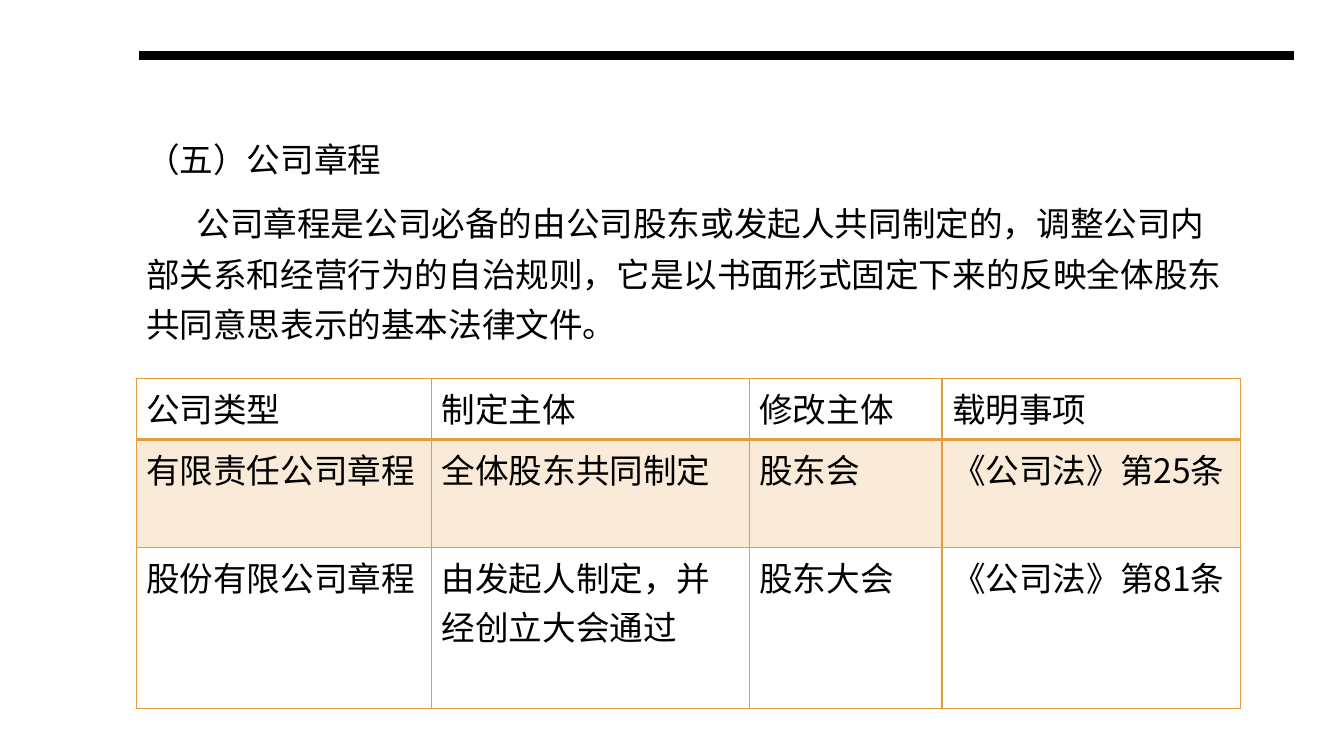
from lxml import etree
from pptx import Presentation
from pptx.dml.color import RGBColor
from pptx.enum.shapes import MSO_CONNECTOR
from pptx.enum.text import MSO_ANCHOR, MSO_AUTO_SIZE, PP_ALIGN
from pptx.oxml.ns import qn
from pptx.util import Cm, Pt

STRAIGHT = MSO_CONNECTOR.STRAIGHT
MIDDLE = MSO_ANCHOR.MIDDLE
SHRINK = MSO_AUTO_SIZE.TEXT_TO_FIT_SHAPE
LEFT = PP_ALIGN.LEFT

BLACK = RGBColor(0x00, 0x00, 0x00)
ORANGE = RGBColor(0xE2, 0x9D, 0x3E)
FONT = "Noto Sans CJK SC"
TEXT_SIZE = Pt(24)

MARGIN, CONTENT_WIDTH = Cm(3.43), Cm(27.84)
FIRST_LINE_INDENT = Cm(1.27)

SECTION = "（五）公司章程"
DEFINITION = (
    "公司章程是公司必备的由公司股东或发起人共同制定的，调整公司内部关系和经营行为的自治规则，"
    "它是以书面形式固定下来的反映全体股东共同意思表示的基本法律文件。"
)
CHARTERS = [
    ["公司类型", "制定主体", "修改主体", "载明事项"],
    ["有限责任公司章程", "全体股东共同制定", "股东会", "《公司法》第25条"],
    ["股份有限公司章程", "由发起人制定，并经创立大会通过", "股东大会", "《公司法》第81条"],
]
COLUMN_WIDTHS = [Cm(7.45), Cm(8), Cm(4.86), Cm(7.53)]
ROW_HEIGHTS = [Cm(1.55), Cm(2.36), Cm(4.06)]


class CharterSlide:
    def __init__(self, deck):
        self.slide = deck.slides.add_slide(deck.slide_layouts[1])
        title = self.slide.shapes.title
        title.element.getparent().remove(title.element)

    def add_text(self, paragraph, text):
        run = paragraph.add_run()
        run.text = text
        run.font.size = TEXT_SIZE
        run.font.name = FONT
        run.font.color.rgb = BLACK
        east_asian = etree.SubElement(run.font._element, qn("a:ea"))
        east_asian.set("typeface", FONT)

    def body(self, top, height, indented_texts):
        body = self.slide.placeholders[1]
        body.left, body.top = MARGIN, top
        body.width, body.height = CONTENT_WIDTH, height
        frame = body.text_frame
        frame.word_wrap = True
        frame.vertical_anchor = MIDDLE
        frame.auto_size = SHRINK
        for index, (text, indent) in enumerate(indented_texts):
            paragraph = frame.add_paragraph() if index else frame.paragraphs[0]
            paragraph.alignment = LEFT
            paragraph.line_spacing = 1.25
            paragraph.space_before = Pt(10)
            properties = paragraph._p.get_or_add_pPr()
            properties.set("marL", "0")
            properties.set("indent", str(indent))
            etree.SubElement(properties, qn("a:buNone"))
            self.add_text(paragraph, text)

    def border(self, cell, side, width):
        line = etree.SubElement(cell._tc.get_or_add_tcPr(), qn(f"a:ln{side}"), w=str(width))
        fill = etree.SubElement(line, qn("a:solidFill"))
        etree.SubElement(fill, qn("a:srgbClr"), val=str(ORANGE))

    def tint(self, cell):
        cell.fill.solid()
        cell.fill.fore_color.rgb = ORANGE
        color = cell._tc.tcPr.find(f"{qn('a:solidFill')}/{qn('a:srgbClr')}")
        etree.SubElement(color, qn("a:alpha"), val="20000")

    def table(self, top, rows):
        table = self.slide.shapes.add_table(
            len(rows), len(rows[0]), MARGIN, top, CONTENT_WIDTH, sum(ROW_HEIGHTS)
        ).table
        table.first_row = table.horz_banding = False
        for column, width in zip(table.columns, COLUMN_WIDTHS):
            column.width = width
        for row_index, (row, height) in enumerate(zip(rows, ROW_HEIGHTS)):
            table.rows[row_index].height = height
            for column_index, text in enumerate(row):
                cell = table.cell(row_index, column_index)
                self.add_text(cell.text_frame.paragraphs[0], text)
                for side in "LRTB":
                    under_header = (row_index, side) in ((0, "B"), (1, "T"))
                    self.border(cell, side, Pt(2 if under_header else 1))
                if row_index == 1:
                    self.tint(cell)
                else:
                    cell.fill.background()

    def rule(self, left, right, y, width):
        rule = self.slide.shapes.add_connector(STRAIGHT, left, y, right, y)
        rule.line.color.rgb = BLACK
        rule.line.width = width
        rule.line._get_or_add_ln().set("cap", "sq")
        etree.SubElement(rule._element.spPr, qn("a:effectLst"))


def main():
    deck = Presentation()
    deck.slide_width, deck.slide_height = Cm(33.87), Cm(19.05)
    page = CharterSlide(deck)
    page.body(Cm(2.39), Cm(7.14), [(SECTION, 0), (DEFINITION, FIRST_LINE_INDENT)])
    page.table(Cm(9.53), CHARTERS)
    page.rule(Cm(3.63), Cm(32.49), Cm(1.4), Pt(7))
    deck.save("out.pptx")


if __name__ == "__main__":
    main()
